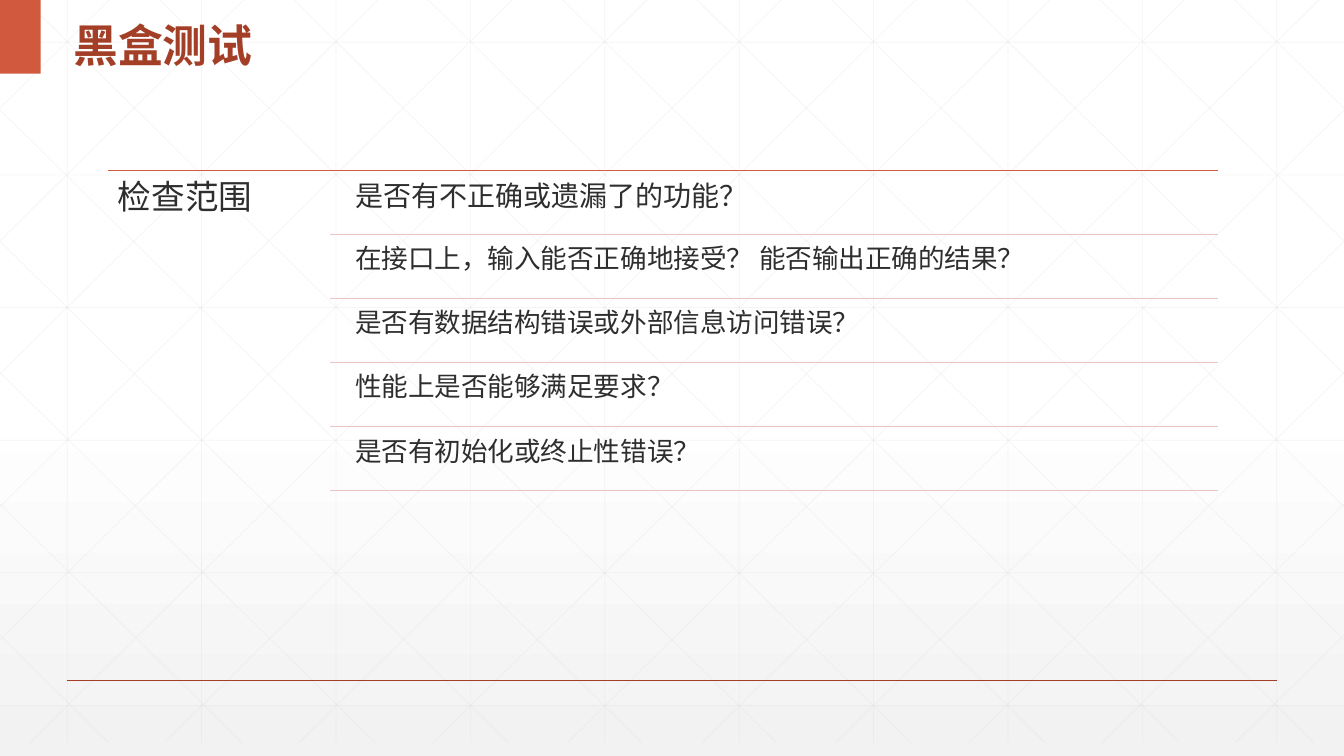
from copy import deepcopy
from dataclasses import dataclass

from lxml.etree import SubElement
from pptx import Presentation
from pptx.dml.color import RGBColor
from pptx.enum.shapes import MSO_CONNECTOR, MSO_SHAPE
from pptx.enum.text import MSO_ANCHOR
from pptx.oxml.ns import qn
from pptx.slide import Slide
from pptx.util import Pt

SLIDE_WIDTH, SLIDE_HEIGHT = 960, 540
LATTICE_BOTTOM = 530.6
LATTICE_STEP = 96
DIAGONAL_RUN = 536.6
CJK_FONT = "Noto Sans CJK SC"
RUST, ORANGE, PINK, INK, GRAY = "A43F27", "D15A3E", "E9C4C0", "2D2E2D", "D9D9D9"

ROW_STEP = 45.75
TABLE_TOP, TABLE_RIGHT = 121.8, 870


@dataclass(frozen=True)
class Line:
    x1: float
    y1: float
    x2: float
    y2: float
    color: str = GRAY
    width: float = 0.5
    opacity: int = 100

    def mirrored(self) -> "Line":
        return Line(SLIDE_WIDTH - self.x1, self.y1, SLIDE_WIDTH - self.x2, self.y2,
                    self.color, self.width, self.opacity)


@dataclass(frozen=True)
class Question:
    text: str
    size: float = 19


QUESTIONS = [
    Question("是否有不正确或遗漏了的功能？", 20),
    Question("在接口上，输入能否正确地接受？ 能否输出正确的结果？"),
    Question("是否有数据结构错误或外部信息访问错误？"),
    Question("性能上是否能够满足要求？"),
    Question("是否有初始化或终止性错误？"),
]


def rgb(color: str) -> RGBColor:
    return RGBColor.from_string(color)


def set_opacity(element, percent: int) -> None:
    """Apply an opacity to the colour held in a fill or gradient stop."""
    for color in element.iter(qn("a:srgbClr")):
        SubElement(color, qn("a:alpha")).set("val", str(percent * 1000))


def draw_line(slide: Slide, line: Line) -> None:
    connector = slide.shapes.add_connector(
        MSO_CONNECTOR.STRAIGHT, Pt(line.x1), Pt(line.y1), Pt(line.x2), Pt(line.y2))
    connector.line.color.rgb = rgb(line.color)
    connector.line.width = Pt(line.width)
    properties = connector.element.spPr
    if line.opacity < 100:
        set_opacity(properties, line.opacity)
    SubElement(properties, qn("a:effectLst"))


def add_text(slide: Slide, text: str, left: float, top: float, width: float,
             height: float, *, size: float, color: str = INK, font: str = CJK_FONT,
             bold: bool = False, spacing: float = 0.9, inset_x: float = 6,
             inset_y: float = 6, anchor: MSO_ANCHOR = MSO_ANCHOR.TOP) -> None:
    frame = slide.shapes.add_textbox(Pt(left), Pt(top), Pt(width), Pt(height)).text_frame
    frame.word_wrap = True
    frame.vertical_anchor = anchor
    frame.margin_left = frame.margin_right = Pt(inset_x)
    frame.margin_top = frame.margin_bottom = Pt(inset_y)
    paragraph = frame.paragraphs[0]
    paragraph.line_spacing = spacing
    run = paragraph.add_run()
    run.text = text
    run.font.size = Pt(size)
    run.font.bold = bold
    run.font.color.rgb = rgb(color)
    run.font.name = font
    SubElement(run.font._element, qn("a:ea")).set("typeface", CJK_FONT)


def paint_background(slide: Slide) -> None:
    fill = slide.background.fill
    fill.gradient()
    fill.gradient_angle = 270
    white, gray = fill.gradient_stops
    white.color.rgb, white.position = rgb("FFFFFF"), 0
    gray.color.rgb, gray.position = rgb("F2F2F2"), 1
    first, last = slide.element.iter(qn("a:gs"))
    middle = deepcopy(first)
    middle.set("pos", "53000")
    first.addnext(middle)
    set_opacity(last, 65)


def lattice_lines() -> list[Line]:
    verticals = [Line(x, 0, x, LATTICE_BOTTOM, opacity=25)
                 for x in range(48, SLIDE_WIDTH, LATTICE_STEP)]
    horizontals = [Line(0, y, SLIDE_WIDTH, y, opacity=25)
                   for y in (30.2 + 94.75 * i for i in range(6))]
    diagonals = []
    for x in range(18, SLIDE_WIDTH, LATTICE_STEP):
        run = min(DIAGONAL_RUN, SLIDE_WIDTH - x)
        diagonals.append(
            Line(x, 0, x + run, run * LATTICE_BOTTOM / DIAGONAL_RUN, opacity=25))
    diagonals += [Line(458.6 - 95.2 * i, LATTICE_BOTTOM, 0, 78.5 + 93.8 * i, opacity=25)
                  for i in range(5)]
    return verticals + horizontals + diagonals + [line.mirrored() for line in diagonals]


def draw_header(slide: Slide) -> None:
    marker = slide.shapes.add_shape(MSO_SHAPE.RECTANGLE, 0, 0, Pt(29), Pt(52.6))
    marker.shadow.inherit = False
    marker.fill.solid()
    marker.fill.fore_color.rgb = rgb(ORANGE)
    marker.line.fill.background()
    add_text(slide, "黑盒测试", 45.2, 0, 409.7, 52.6, size=32, color=RUST, font="Arial",
             bold=True, spacing=1.3, inset_x=7.2, inset_y=3.6, anchor=MSO_ANCHOR.MIDDLE)


def draw_checklist(slide: Slide) -> None:
    draw_line(slide, Line(77.2, TABLE_TOP, TABLE_RIGHT, TABLE_TOP, ORANGE, 1))
    add_text(slide, "检查范围", 77.2, TABLE_TOP, 158.4, 231, size=24, font="Arial",
             inset_x=7.2, inset_y=7.2)
    for i, question in enumerate(QUESTIONS):
        top = TABLE_TOP + 2.1 + i * ROW_STEP
        add_text(slide, question.text, 247.7, top, 622.3, 43.2, size=question.size)
        rule = TABLE_TOP + (i + 1) * ROW_STEP
        draw_line(slide, Line(236, rule, TABLE_RIGHT, rule, PINK, 1))


def main() -> None:
    presentation = Presentation()
    presentation.slide_width, presentation.slide_height = Pt(SLIDE_WIDTH), Pt(SLIDE_HEIGHT)
    slide = presentation.slides.add_slide(presentation.slide_layouts[6])
    paint_background(slide)
    for line in lattice_lines():
        draw_line(slide, line)
    draw_line(slide, Line(48, 486, 912, 486, RUST, 1))
    draw_header(slide)
    draw_checklist(slide)
    presentation.save("out.pptx")


if __name__ == "__main__":
    main()
